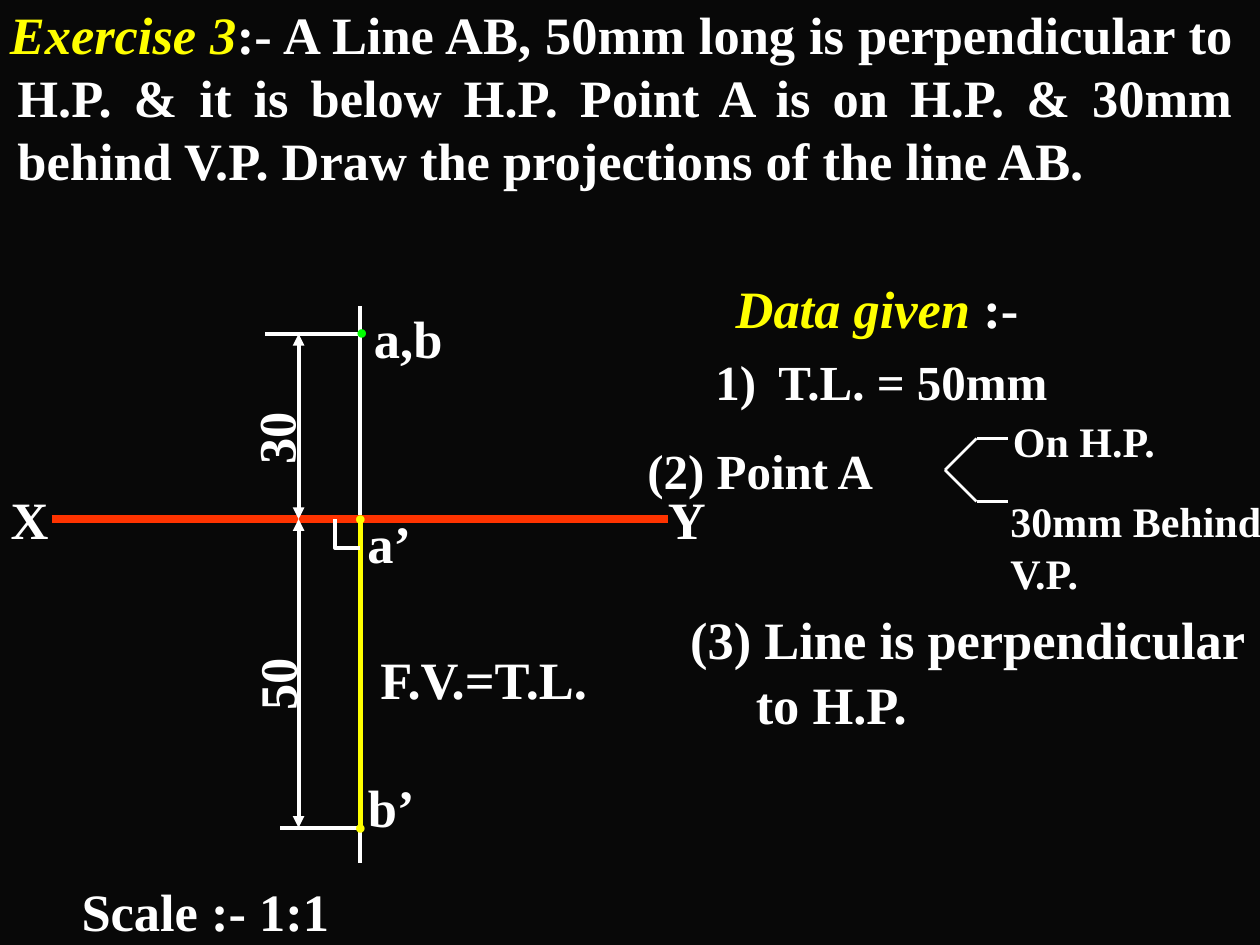
from dataclasses import dataclass

from lxml.etree import SubElement
from pptx import Presentation
from pptx.dml.color import RGBColor
from pptx.enum.shapes import MSO_CONNECTOR
from pptx.enum.text import PP_ALIGN
from pptx.oxml.ns import qn
from pptx.util import Inches, Pt

FONT = "Times New Roman"
WHITE, YELLOW, RED, GREEN, BLACK = "FFFFFF", "FFFF00", "FF3300", "00FF00", "080808"
LEFT, CENTER, JUSTIFY = PP_ALIGN.LEFT, PP_ALIGN.CENTER, PP_ALIGN.JUSTIFY

deck = Presentation()
deck.slide_width, deck.slide_height = Inches(10), Inches(7.5)
page = deck.slides.add_slide(deck.slide_layouts[6])

# Grid of 100 columns by 75 rows
COLUMN, ROW = deck.slide_width / 100, deck.slide_height / 75

# The drawing: both views hang on one projector and share a millimetre scale
MILLIMETRE = 0.49
PROJECTOR, DIMENSION = 28.6, 23.7
XY_ROW = 41.2
TOP_VIEW = XY_ROW - 30 * MILLIMETRE
FRONT_END = XY_ROW + 50 * MILLIMETRE


@dataclass
class Stroke:
    start: tuple[float, float]
    end: tuple[float, float]
    color: str = WHITE
    weight: float = 2.25
    arrows: bool = False


@dataclass
class Label:
    """Lines of text; the lead is a yellow italic opening of the first line."""
    text: str
    left: float
    top: float
    width: float
    height: float = 6
    size: float = 30
    color: str = WHITE
    align: PP_ALIGN = CENTER
    rotation: float = 0
    lead: str = ""
    hanging: float = 0
    numbered: bool = False
    second_indent: float = 0


def rgb(color: str) -> RGBColor:
    return RGBColor.from_string(color)


def across(columns: float) -> int:
    return round(columns * COLUMN)


def down(rows: float) -> int:
    return round(rows * ROW)


def draw_stroke(stroke: Stroke) -> None:
    line = page.shapes.add_connector(
        MSO_CONNECTOR.STRAIGHT,
        across(stroke.start[0]), down(stroke.start[1]),
        across(stroke.end[0]), down(stroke.end[1]))
    line.line.color.rgb = rgb(stroke.color)
    line.line.width = Pt(stroke.weight)
    if stroke.arrows:
        outline = line.line._get_or_add_ln()
        for tag in ("a:headEnd", "a:tailEnd"):
            SubElement(outline, qn(tag), type="triangle")
    SubElement(line._element.spPr, qn("a:effectLst"))


def draw_label(label: Label) -> None:
    box = page.shapes.add_textbox(across(label.left), down(label.top),
                                  across(label.width), down(label.height))
    box.rotation = label.rotation
    frame = box.text_frame
    frame.word_wrap = True
    frame.text = label.text
    for index, paragraph in enumerate(frame.paragraphs):
        paragraph.alignment = label.align
        properties = paragraph._p.get_or_add_pPr()
        if index:
            paragraph.space_before = Pt(1)
            properties.set("marL", str(across(label.second_indent)))
        elif label.hanging:
            properties.set("marL", str(across(label.hanging)))
            properties.set("indent", str(-across(label.hanging)))
        if label.numbered:
            SubElement(properties, qn("a:buFont"), typeface=FONT)
            SubElement(properties, qn("a:buAutoNum"), type="arabicParenR")
        if label.lead and not index:
            paragraph.runs[0].text = label.lead
            paragraph.add_run().text = label.text
        for position, span in enumerate(paragraph.runs):
            is_lead = bool(label.lead) and index == position == 0
            span.font.name, span.font.size = FONT, Pt(label.size)
            span.font.bold, span.font.italic = True, is_lead
            span.font.color.rgb = rgb(YELLOW if is_lead else label.color)


def draw_right_angle(left: float, top: float, right: float, bottom: float) -> None:
    builder = page.shapes.build_freeform(across(left), down(top))
    builder.add_line_segments([(across(left), down(bottom)),
                               (across(right), down(bottom))], close=False)
    mark = builder.convert_to_shape()
    mark.shadow.inherit = False
    mark.fill.background()
    mark.line.color.rgb = rgb(WHITE)
    mark.line.width = Pt(2.25)


# Fork that splits the position of point A in two
FORK_TIP, FORK_BEND, FORK_END = 75, 77.5, 80
FORK_ROW = 37.3
FORK = [
    Stroke(start, end, weight=1.5)
    for row in (FORK_ROW - 2.5, FORK_ROW + 2.5)
    for start, end in (((FORK_TIP, FORK_ROW), (FORK_BEND, row)),
                       ((FORK_BEND, row), (FORK_END, row)))
]

STROKES = [
    Stroke((PROJECTOR, 24.3), (PROJECTOR, 68.5)),
    Stroke((4.1, XY_ROW), (53, XY_ROW), RED, 4.5),
    Stroke((PROJECTOR, XY_ROW), (PROJECTOR, FRONT_END), YELLOW, 3),
    # Dimension and extension lines
    Stroke((DIMENSION, XY_ROW), (DIMENSION, FRONT_END), arrows=True),
    Stroke((PROJECTOR, FRONT_END), (22.2, FRONT_END)),
    Stroke((DIMENSION, XY_ROW), (DIMENSION, TOP_VIEW), arrows=True),
    Stroke((PROJECTOR, TOP_VIEW), (21, TOP_VIEW)),
    *FORK,
]

LABELS = [
    # Problem statement
    Label(":- A Line AB, 50mm long is perpendicular to H.P. & it is below H.P. "
          "Point A is on H.P. & 30mm behind V.P. Draw the projections of the line AB.",
          -0.2, -0.3, 99.1, 16, align=JUSTIFY, lead="Exercise 3", hanging=0.6),
    # Names and dimensions on the drawing
    Label("a’", 24.8, 40.1, 12.2),
    Label("a,b", 26.3, 23.8, 12.2),
    Label("X", -2.4, 38.2, 9.5),
    Label("Y", 48.4, 38.2, 12.2),
    Label("b’", 25, 61, 12.1),
    Label("F.V.=T.L.", 27.6, 50.9, 21.6),
    Label("30", 15.7, 31.8, 12.2, rotation=270),
    Label("50", 15.8, 51.3, 12.2, rotation=270),
    Label("Scale :- 1:1", 0.9, 69.3, 30.8),
    # Given data
    Label(":-", 57.4, 21.4, 29.6, align=LEFT, lead="Data given "),
    Label("T.L. = 50mm", 55.8, 27.4, 32.5, 5.7, 28, align=LEFT,
          hanging=5, numbered=True),
    Label("(2) Point A", 50.4, 34.5, 24, 5.7, 28, align=LEFT),
    Label("On H.P.", 79.4, 32.5, 13.9, 5, 24, align=LEFT),
    Label("30mm Behind\nV.P.", 79.2, 38.8, 27.5, 9, 24, align=LEFT),
    Label("(3) Line is perpendicular\nto H.P.", 53.8, 47.7, 53.7, 11,
          align=LEFT, second_indent=5.2),
    # Point marks
    Label(".", 21.3, 23.5, 12.1, color=GREEN, rotation=270),
    Label(".", 27.1, 36.9, 12.6, color=YELLOW, align=LEFT),
    Label(".", 27.1, 61.4, 12.6, color=YELLOW, align=LEFT),
]

page.background.fill.solid()
page.background.fill.fore_color.rgb = rgb(BLACK)
for item in STROKES:
    draw_stroke(item)
draw_right_angle(26.6, XY_ROW, PROJECTOR, 43.5)
for item in LABELS:
    draw_label(item)

deck.save("out.pptx")
